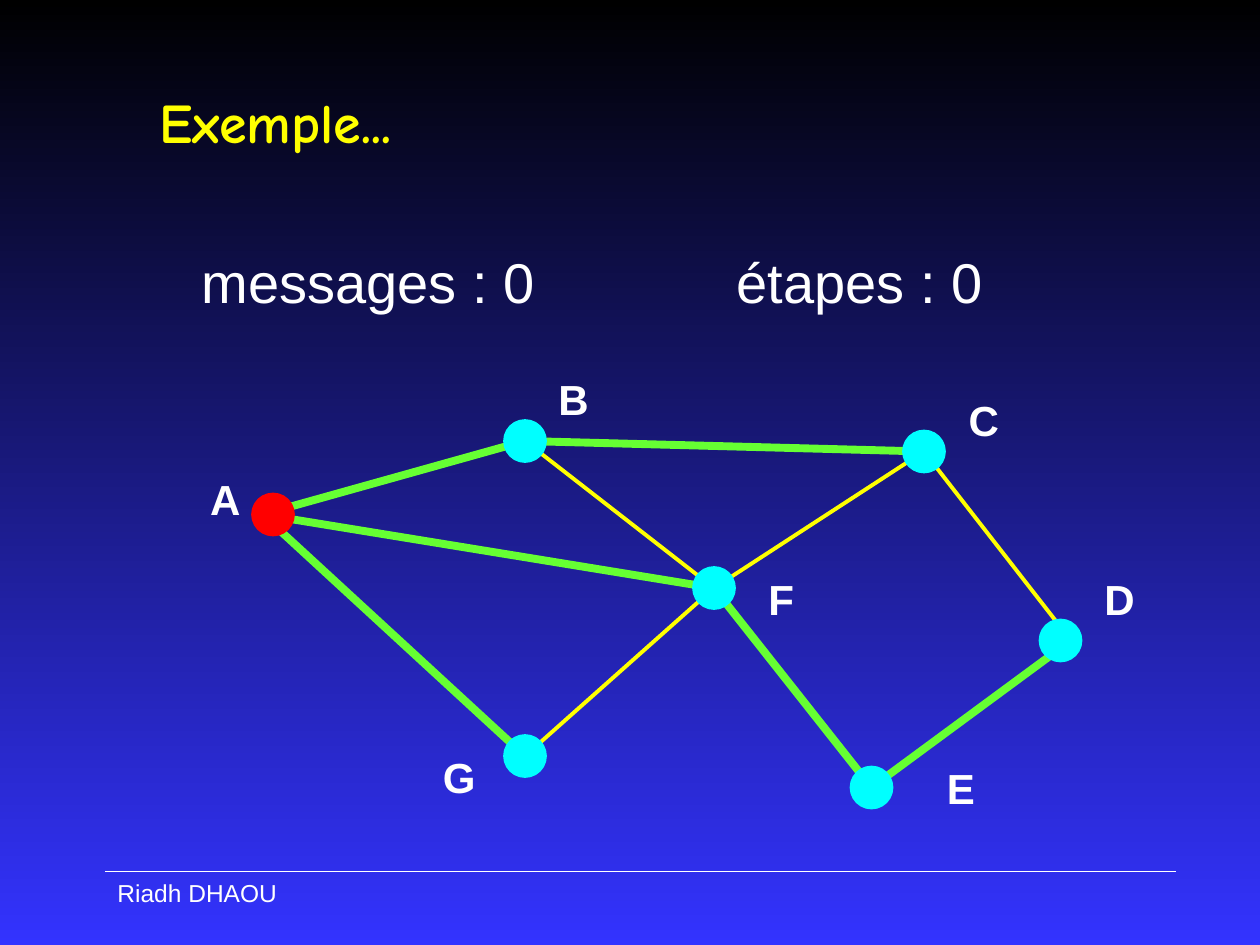
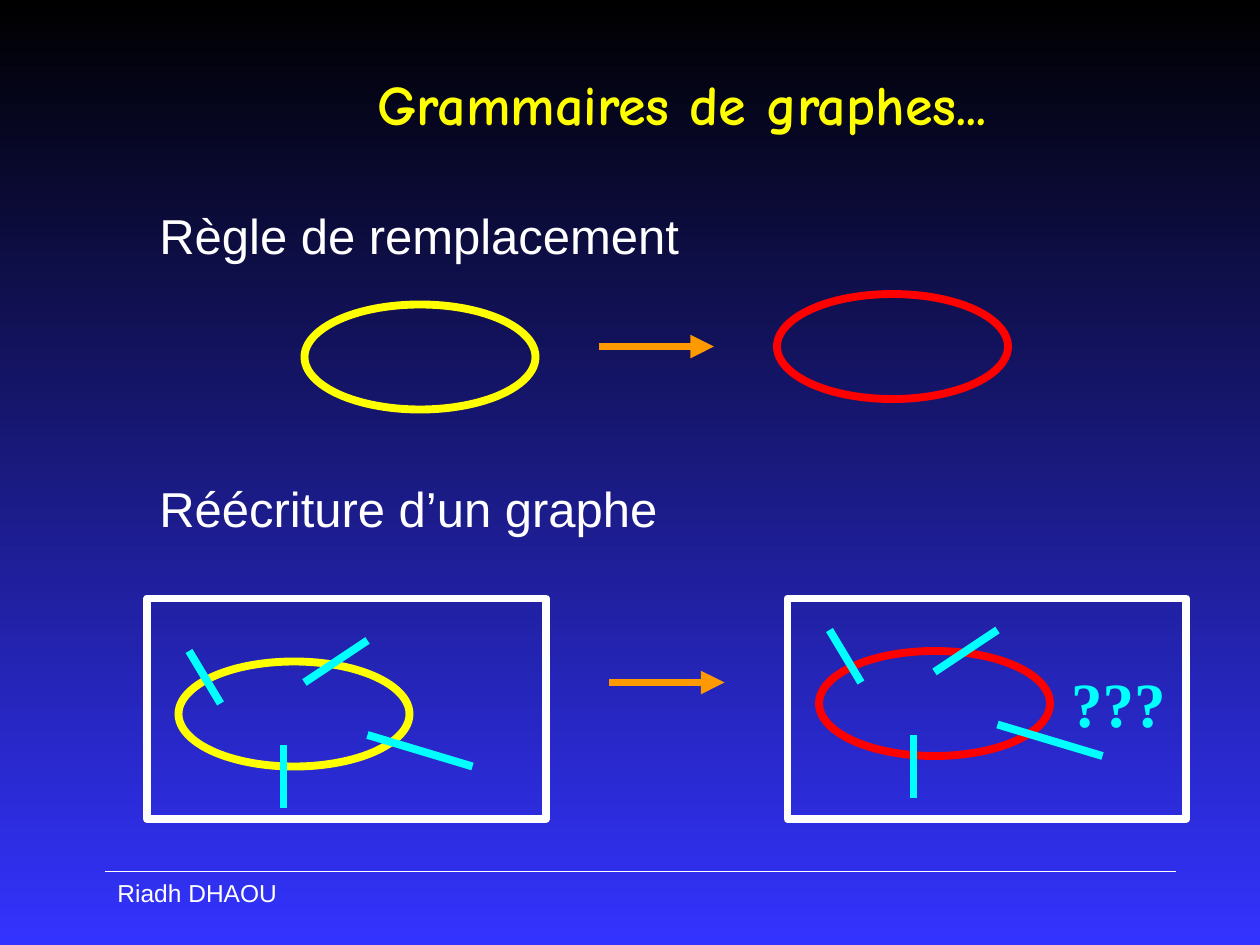
from pptx import Presentation
from pptx.dml.color import RGBColor
from pptx.enum import shapes, text
from pptx.oxml.ns import qn
from pptx.util import Pt
from lxml import etree

WHITE, BLACK, YELLOW, RED = "FFFFFF", "000000", "FFFF00", "FF0000"
CYAN, GREEN, ORANGE, BLUE = "00FFFF", "66FF33", "FF9900", "3333FF"
THIN, MEDIUM, THICK = 1, 2.25, 4.5
NODE_SIZE = 24
OVAL_SIZE = (132, 60)
FRAME_SIZE = (228, 126)

# name: centre, x shift of its edges, label offset from the centre, colour
NODES = {
    "A": ((156, 294), -6, (-43, -27), RED),
    "B": ((300, 252), 0, (12, -42), CYAN),
    "C": ((528, 258), 0, (18.5, -36), CYAN),
    "D": ((606, 366), 6, (18, -42), CYAN),
    "E": ((498, 450), 0, (36, -18), CYAN),
    "F": ((408, 336), 0, (24, -12), CYAN),
    "G": ((300, 432), 0, (-54, -6), CYAN),
}
PLAIN_EDGES = ["BF", "FG", "FC", "CD"]
TREE_EDGES = ["AB", "GA", "AF", "DE", "EF", "BC"]

# Links to the rest of the graph, relative to the frame
CORNER_LINK = ((42, 60), (24, 30))
OTHER_LINKS = [((90, 48), (126, 24)), ((126, 78), (186, 96)), ((78, 84), (78, 120))]


def rgb(hex_colour):
    return RGBColor.from_string(hex_colour)


def shifted(point, offset):
    return point[0] + offset[0], point[1] + offset[1]


def format_text(frame, content, size, colour, font="Arial", bold=False,
                align=text.PP_ALIGN.LEFT, anchor=text.MSO_ANCHOR.TOP):
    frame.text = content
    frame.word_wrap = True
    frame.auto_size = text.MSO_AUTO_SIZE.NONE
    frame.vertical_anchor = anchor
    paragraph = frame.paragraphs[0]
    paragraph.alignment = align
    font_format = paragraph.runs[0].font
    font_format.name, font_format.size, font_format.bold = font, Pt(size), bold
    font_format.color.rgb = rgb(colour)


def add_text(slide, box, content, size, colour=WHITE, **style):
    label = slide.shapes.add_textbox(*map(Pt, box))
    format_text(label.text_frame, content, size, colour, **style)


def add_line(slide, start, end, colour, width, arrow=False):
    line = slide.shapes.add_connector(
        shapes.MSO_CONNECTOR.STRAIGHT, *map(Pt, (*start, *end)))
    line.line.color.rgb = rgb(colour)
    line.line.width = Pt(width)
    properties = line._element.spPr
    etree.SubElement(properties, qn("a:effectLst"))
    if arrow:
        etree.SubElement(properties.find(qn("a:ln")), qn("a:tailEnd"), type="triangle")


def add_outline(slide, kind, corner, size, colour, width=THICK, fill=None):
    outline = slide.shapes.add_shape(kind, *map(Pt, (*corner, *size)))
    outline.shadow.inherit = False
    outline.line.color.rgb = rgb(colour)
    outline.line.width = Pt(width)
    if fill:
        outline.fill.solid()
        outline.fill.fore_color.rgb = rgb(fill)
    else:
        outline.fill.background()


def add_oval(slide, corner, colour):
    add_outline(slide, shapes.MSO_SHAPE.OVAL, corner, OVAL_SIZE, colour)


def add_arrow(slide, start):
    add_line(slide, start, shifted(start, (66, 0)), ORANGE, THICK, arrow=True)


def set_background(prs):
    fill = prs.slide_master.background.fill
    fill.gradient()
    fill.gradient_angle = 270
    for stop, colour in zip(fill.gradient_stops, (BLACK, BLUE)):
        stop.color.rgb = rgb(colour)


def new_slide(prs, title, box, align, anchor):
    """Add a slide with the shared title style and footer."""
    slide = prs.slides.add_slide(prs.slide_layouts[5])
    heading = slide.shapes.title
    heading.left, heading.top, heading.width, heading.height = map(Pt, box)
    format_text(heading.text_frame, title, 32, YELLOW, font="Comic Neue",
                bold=True, align=align, anchor=anchor)
    add_line(slide, (60, 498), (672, 498), WHITE, THIN)
    add_text(slide, (60, 498, 138, 24.5), "Riadh DHAOU", 14)
    return slide


def add_graph(slide):
    joints = {name: shifted(centre, (joint_dx, 0))
              for name, (centre, joint_dx, _, _) in NODES.items()}
    for edges, colour, width in ((PLAIN_EDGES, YELLOW, MEDIUM),
                                 (TREE_EDGES, GREEN, THICK)):
        for start, end in edges:
            add_line(slide, joints[start], joints[end], colour, width)
    for name, (centre, _, label_offset, colour) in NODES.items():
        corner = shifted(centre, (-NODE_SIZE / 2, -NODE_SIZE / 2))
        add_outline(slide, shapes.MSO_SHAPE.OVAL, corner, (NODE_SIZE, NODE_SIZE),
                    colour, THIN, fill=colour)
        add_text(slide, (*shifted(centre, label_offset), 36, 36), name, 24, bold=True)


def add_host_graph(slide, corner, oval_offset, oval_colour,
                   corner_shift=(0, 0), link_shift=(0, 0)):
    """Draw a frame holding a subgraph and its links to the rest."""
    add_oval(slide, shifted(corner, oval_offset), oval_colour)
    add_outline(slide, shapes.MSO_SHAPE.RECTANGLE, corner, FRAME_SIZE, WHITE)
    links = [(CORNER_LINK, corner_shift)] + [(link, link_shift) for link in OTHER_LINKS]
    for link, shift in links:
        start, end = (shifted(shifted(point, shift), corner) for point in link)
        add_line(slide, start, end, CYAN, THICK)


def example_slide(prs):
    slide = new_slide(prs, "Exemple...", (84, 24, 612, 90),
                      text.PP_ALIGN.LEFT, text.MSO_ANCHOR.MIDDLE)
    for left, counter in ((108, "messages : 0"), (414, "étapes : 0")):
        add_text(slide, (left, 138, 246, 48), counter, 32)
    add_graph(slide)


def grammar_slide(prs):
    slide = new_slide(prs, "Grammaires de graphes...", (84, 36, 612, 68),
                      text.PP_ALIGN.CENTER, text.MSO_ANCHOR.TOP)
    for top, heading in ((114, "Règle de remplacement"), (270, "Réécriture d’un graphe")):
        add_text(slide, (84, top, 324, 48), heading, 28)
    add_oval(slide, (174, 174), YELLOW)
    add_arrow(slide, (342, 198))
    add_oval(slide, (444, 168), RED)
    add_host_graph(slide, (84, 342), (18, 36), YELLOW)
    add_arrow(slide, (348, 390))
    add_host_graph(slide, (450, 342), (18, 30), RED,
                   corner_shift=(0, -12), link_shift=(-6, -6))
    add_text(slide, (605, 376, 70, 50), "???", 36, CYAN,
             font="Times New Roman", bold=True)


def main():
    prs = Presentation()
    prs.slide_width, prs.slide_height = Pt(720), Pt(540)
    set_background(prs)
    example_slide(prs)
    grammar_slide(prs)
    prs.save("out.pptx")


if __name__ == "__main__":
    main()
